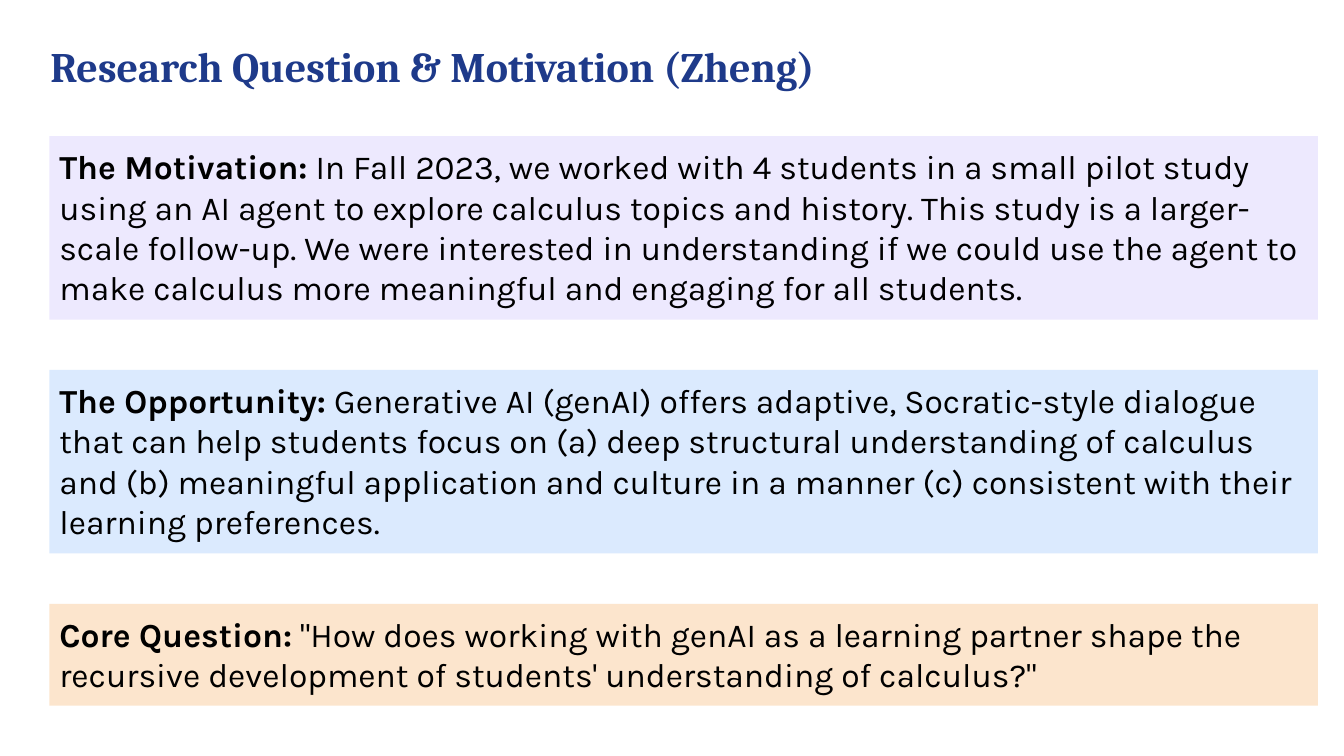
from dataclasses import dataclass

from pptx import Presentation
from pptx.dml.color import RGBColor
from pptx.enum.shapes import MSO_SHAPE
from pptx.enum.text import MSO_ANCHOR, MSO_AUTO_SIZE, PP_ALIGN
from pptx.util import Inches, Pt

RECT = MSO_SHAPE.RECTANGLE
TOP, MIDDLE = MSO_ANCHOR.TOP, MSO_ANCHOR.MIDDLE
LEFT = PP_ALIGN.LEFT
FIT_SHAPE = MSO_AUTO_SIZE.SHAPE_TO_FIT_TEXT


@dataclass(frozen=True)
class Theme:
    title_font: str = "Cambria"
    body_font: str = "Karla"
    title_size: int = 30
    body_size: int = 24
    title: str = "1E3A8A"
    body: str = "000000"
    violet: str = "EDE9FE"
    blue: str = "DBEAFE"
    orange: str = "FCE5CD"


theme = Theme()


def set_frame(tf, inset, anchor):
    tf.word_wrap = True
    tf.vertical_anchor = anchor
    tf.margin_left = tf.margin_right = Inches(inset)
    tf.margin_top = tf.margin_bottom = Inches(inset)


def add_run(p, text, font, size, color, bold):
    r = p.add_run()
    r.text = text
    r.font.name = font
    r.font.size = Pt(size)
    r.font.bold = bold
    r.font.color.rgb = RGBColor.from_string(color)


prs = Presentation()
prs.slide_width, prs.slide_height = Inches(13.33), Inches(7.5)
s = prs.slides.add_slide(prs.slide_layouts[6])

# Title
sp = s.shapes.add_textbox(Inches(0.5), Inches(0.31), Inches(9.76), Inches(0.69))
set_frame(sp.text_frame, 0, MIDDLE)
add_run(sp.text_frame.paragraphs[0], "Research Question & Motivation (Zheng)",
        theme.title_font, theme.title_size, theme.title, True)

# Stacked panels: fill, height, bold lead, statement
panels = [
    (theme.violet, 1.82, "The Motivation:",
     " In Fall 2023, we worked with 4 students in a small pilot study using an AI agent "
     "to explore calculus topics and history. This study is a larger-scale follow-up. "
     "We were interested in understanding if we could use the agent to make calculus "
     "more meaningful and engaging for all students."),
    (theme.blue, 1.82, "The Opportunity:",
     " Generative AI (genAI) offers adaptive, Socratic-style dialogue that can help "
     "students focus on (a) deep structural understanding of calculus and (b) meaningful "
     "application and culture in a manner (c) consistent with their learning preferences."),
    (theme.orange, 1.01, "Core Question:",
     " \"How does working with genAI as a learning partner shape the recursive "
     "development of students' understanding of calculus?\""),
]
panel_gap = 0.5
top = 1.35
for fill, height, lead, statement in panels:
    sp = s.shapes.add_shape(RECT, Inches(0.49), Inches(top), Inches(12.58), Inches(height))
    sp.shadow.inherit = False
    sp.fill.solid()
    sp.fill.fore_color.rgb = RGBColor.from_string(fill)
    sp.line.fill.background()
    tf = sp.text_frame
    set_frame(tf, 0.1, TOP)
    tf.auto_size = FIT_SHAPE
    p = tf.paragraphs[0]
    p.alignment = LEFT
    for text, bold in ((lead, True), (statement, False)):
        add_run(p, text, theme.body_font, theme.body_size, theme.body, bold)
    top += height + panel_gap

prs.save("out.pptx")
